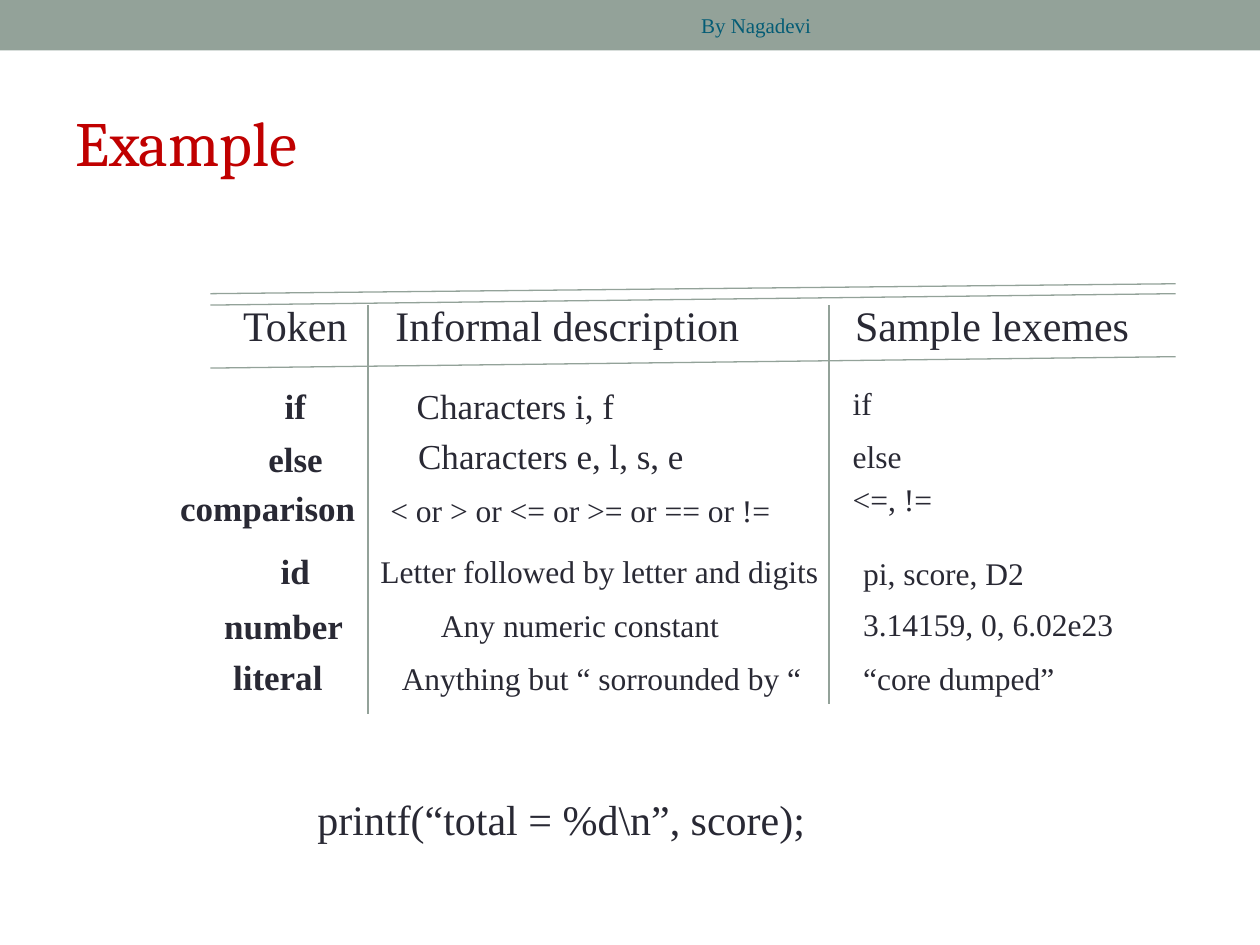
"""Build a slide with a ruled table of tokens, descriptions and sample lexemes."""
from dataclasses import dataclass

from lxml.etree import SubElement
from pptx import Presentation
from pptx.dml.color import RGBColor
from pptx.enum.shapes import MSO_CONNECTOR, MSO_SHAPE
from pptx.enum.text import MSO_ANCHOR, PP_ALIGN
from pptx.oxml.ns import qn
from pptx.slide import Slide
from pptx.util import Cm, Pt

SAGE = RGBColor(0x93, 0xA2, 0x99)
INK = RGBColor(0x29, 0x29, 0x34)
RED = RGBColor(0xC0, 0x00, 0x00)
TEAL = RGBColor(0x04, 0x5C, 0x75)
BODY_FONT = "Times New Roman"
TITLE_FONT = "Cambria"
HEIGHTS = {24: 1.3, 20: 1.12, 18: 1.02, 12: 0.91, 36: 2.74}


@dataclass(frozen=True)
class Label:
    text: str
    left: float
    top: float
    width: float
    size: int = 18
    bold: bool = False
    color: RGBColor = INK
    font: str = BODY_FONT
    align: PP_ALIGN = PP_ALIGN.LEFT
    anchor: MSO_ANCHOR = MSO_ANCHOR.TOP


@dataclass(frozen=True)
class Rule:
    start_x: float
    start_y: float
    end_x: float
    end_y: float


RULES = [
    Rule(4.24, 5.92, 23.7, 5.72),
    Rule(4.24, 6.15, 23.7, 5.92),
    Rule(4.24, 7.42, 23.7, 7.19),
    Rule(7.42, 6.15, 7.42, 14.4),
    Rule(16.71, 6.15, 16.71, 14.2),
]

TITLES = [
    Label("Example", 1.27, 1.47, 22.86, 36, color=RED, font=TITLE_FONT, anchor=MSO_ANCHOR.MIDDLE),
    Label("By Nagadevi", 9.53, 0.05, 11.43, 12, color=TEAL, align=PP_ALIGN.CENTER,
          anchor=MSO_ANCHOR.MIDDLE),
]

HEADINGS = [
    Label("Token", 4.65, 5.92, 2.64, 24),
    Label("Informal description", 7.72, 5.92, 7.52, 24),
    Label("Sample lexemes", 16.99, 5.92, 6.1, 24),
]

TOKENS = [
    Label("if", 5.49, 7.62, 0.94, 20, True),
    Label("else", 5.16, 8.69, 1.63, 20, True),
    Label("comparison", 3.38, 9.68, 4.06, 20, True),
    Label("id", 5.41, 10.95, 1.09, 20, True),
    Label("number", 4.27, 12.07, 2.92, 20, True),
    Label("literal", 4.45, 13.08, 2.31, 20, True),
]

DESCRIPTIONS = [
    Label("Characters i, f", 8.15, 7.62, 4.52, 20),
    Label("Characters e, l, s, e", 8.18, 8.64, 5.89, 20),
    Label("< or > or <= or >= or == or !=", 7.62, 9.78, 8.26),
    Label("Letter followed by letter and digits", 7.42, 11, 9.45),
    Label("Any numeric constant", 8.64, 12.09, 6.17),
    Label("Anything but “ sorrounded by “", 7.85, 13.16, 8.66),
]

LEXEMES = [
    Label("if", 16.94, 7.62, 0.91),
    Label("else", 16.94, 8.69, 1.52),
    Label("<=, !=", 16.94, 9.55, 2.13),
    Label("pi, score, D2", 17.15, 11.05, 3.78),
    Label("3.14159, 0, 6.02e23", 17.15, 12.07, 5.61),
    Label("“core dumped”", 17.15, 13.16, 4.39),
]

STATEMENT = Label("printf(“total = %d\\n”, score);", 6.15, 15.88, 10.44, 24)


def draw_band(slide: Slide, width: int) -> None:
    shape = slide.shapes.add_shape(MSO_SHAPE.RECTANGLE, 0, 0, width, Cm(1.02))
    shape.shadow.inherit = False
    shape.fill.solid()
    shape.fill.fore_color.rgb = SAGE
    shape.line.fill.background()


def draw_rule(slide: Slide, rule: Rule) -> None:
    connector = slide.shapes.add_connector(
        MSO_CONNECTOR.STRAIGHT,
        Cm(rule.start_x), Cm(rule.start_y), Cm(rule.end_x), Cm(rule.end_y),
    )
    connector.line.color.rgb = SAGE
    connector.line.width = Pt(0.75)
    SubElement(connector.element.spPr, qn("a:effectLst"))


def draw_label(slide: Slide, label: Label) -> None:
    shape = slide.shapes.add_textbox(
        Cm(label.left), Cm(label.top), Cm(label.width), Cm(HEIGHTS[label.size])
    )
    text_frame = shape.text_frame
    text_frame.text = label.text
    text_frame.word_wrap = False
    text_frame.vertical_anchor = label.anchor
    paragraph = text_frame.paragraphs[0]
    paragraph.alignment = label.align
    font = paragraph.runs[0].font
    font.name = label.font
    font.size = Pt(label.size)
    font.bold = label.bold
    font.color.rgb = label.color


def main() -> None:
    presentation = Presentation()
    presentation.slide_width = Cm(25.4)
    presentation.slide_height = Cm(19.05)
    slide = presentation.slides.add_slide(presentation.slide_layouts[6])
    draw_band(slide, presentation.slide_width)
    for rule in RULES:
        draw_rule(slide, rule)
    for label in [*TITLES, *HEADINGS, *TOKENS, *DESCRIPTIONS, *LEXEMES, STATEMENT]:
        draw_label(slide, label)
    presentation.save("out.pptx")


if __name__ == "__main__":
    main()
